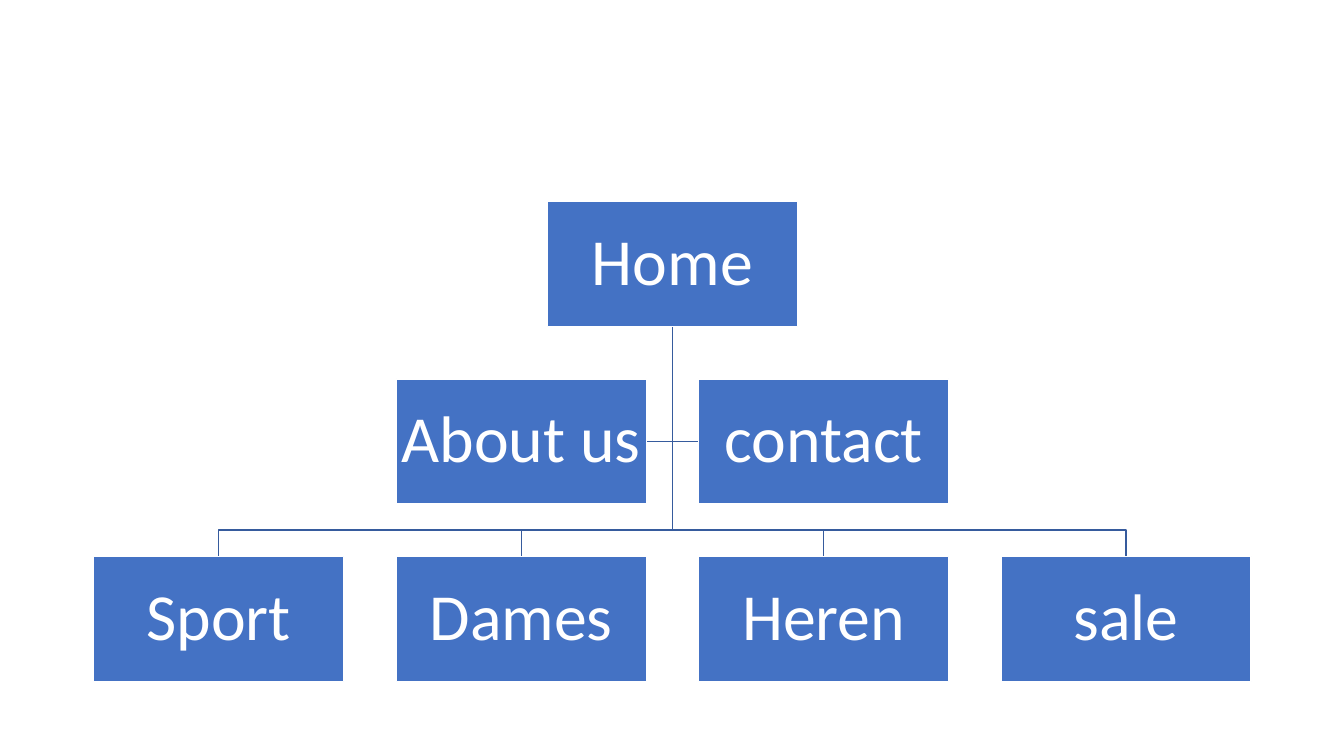
from dataclasses import dataclass

from pptx import Presentation
from pptx.dml.color import RGBColor
from pptx.enum.shapes import MSO_SHAPE
from pptx.enum.text import MSO_ANCHOR, PP_ALIGN
from pptx.shapes.autoshape import Shape
from pptx.shapes.shapetree import SlideShapes
from pptx.text.text import TextFrame
from pptx.util import Inches, Pt

RECT = MSO_SHAPE.RECTANGLE
MIDDLE = MSO_ANCHOR.MIDDLE
CENTER = PP_ALIGN.CENTER


@dataclass(frozen=True)
class Theme:
    fill: RGBColor = RGBColor(0x44, 0x72, 0xC4)
    link: RGBColor = RGBColor(0x36, 0x5B, 0x9D)
    white: RGBColor = RGBColor(0xFF, 0xFF, 0xFF)
    font: str = "Calibri"
    size: float = 47
    line: float = 1


@dataclass(frozen=True)
class Page:
    label: str
    col: float
    row: int


THEME = Theme()
WIDTH, HEIGHT = 2.48, 1.24
AXIS, TOP = 6.67, 2.0
COL_STEP, ROW_STEP = 3.0, 1.76
BUS = 5.26
INSET = 0.03

HOME = Page("Home", 0, 0)
SIDES = [Page("About us", -0.5, 1), Page("contact", 0.5, 1)]
SHOPS = [
    Page(label, index - 1.5, 2)
    for index, label in enumerate(["Sport", "Dames", "Heren", "sale"])
]


def mid_x(page: Page) -> float:
    return AXIS + page.col * COL_STEP


def top_y(page: Page) -> float:
    return TOP + page.row * ROW_STEP


def style_line(shape: Shape, color: RGBColor) -> None:
    shape.shadow.inherit = False
    shape.line.color.rgb = color
    shape.line.width = Pt(THEME.line)


def write(frame: TextFrame, text: str, *, size: float, color: RGBColor,
          font: str = THEME.font, spacing: float = 0.9) -> None:
    frame.word_wrap = True
    frame.vertical_anchor = MIDDLE
    frame.margin_left = frame.margin_right = Inches(INSET)
    frame.margin_top = frame.margin_bottom = Inches(INSET)
    para = frame.paragraphs[0]
    para.alignment = CENTER
    para.line_spacing = spacing
    run = para.add_run()
    run.text = text
    run.font.name = font
    run.font.size = Pt(size)
    run.font.color.rgb = color


def draw_link(shapes: SlideShapes, points: list[tuple[float, float]]) -> None:
    start, *rest = [(Inches(x), Inches(y)) for x, y in points]
    pen = shapes.build_freeform(*start)
    pen.add_line_segments(rest, close=False)
    link = pen.convert_to_shape()
    link.fill.background()
    style_line(link, THEME.link)


def draw_page(shapes: SlideShapes, page: Page) -> None:
    box = shapes.add_shape(
        RECT, Inches(mid_x(page) - WIDTH / 2), Inches(top_y(page)),
        Inches(WIDTH), Inches(HEIGHT))
    box.fill.solid()
    box.fill.fore_color.rgb = THEME.fill
    style_line(box, THEME.white)
    write(box.text_frame, page.label, size=THEME.size, color=THEME.white)


def main() -> None:
    deck = Presentation()
    deck.slide_width, deck.slide_height = Inches(13.33), Inches(7.5)
    shapes = deck.slides.add_slide(deck.slide_layouts[6]).shapes
    root = (AXIS, top_y(HOME) + HEIGHT)
    for page in SIDES:
        level = top_y(page) + HEIGHT / 2
        inner = WIDTH / 2 if page.col < 0 else -WIDTH / 2
        draw_link(shapes, [root, (AXIS, level), (mid_x(page) + inner, level)])
    for page in SHOPS:
        x = mid_x(page)
        draw_link(shapes, [root, (AXIS, BUS), (x, BUS), (x, top_y(page))])
    for page in [HOME, *SHOPS, *SIDES]:
        draw_page(shapes, page)
    deck.save("out.pptx")


if __name__ == "__main__":
    main()
